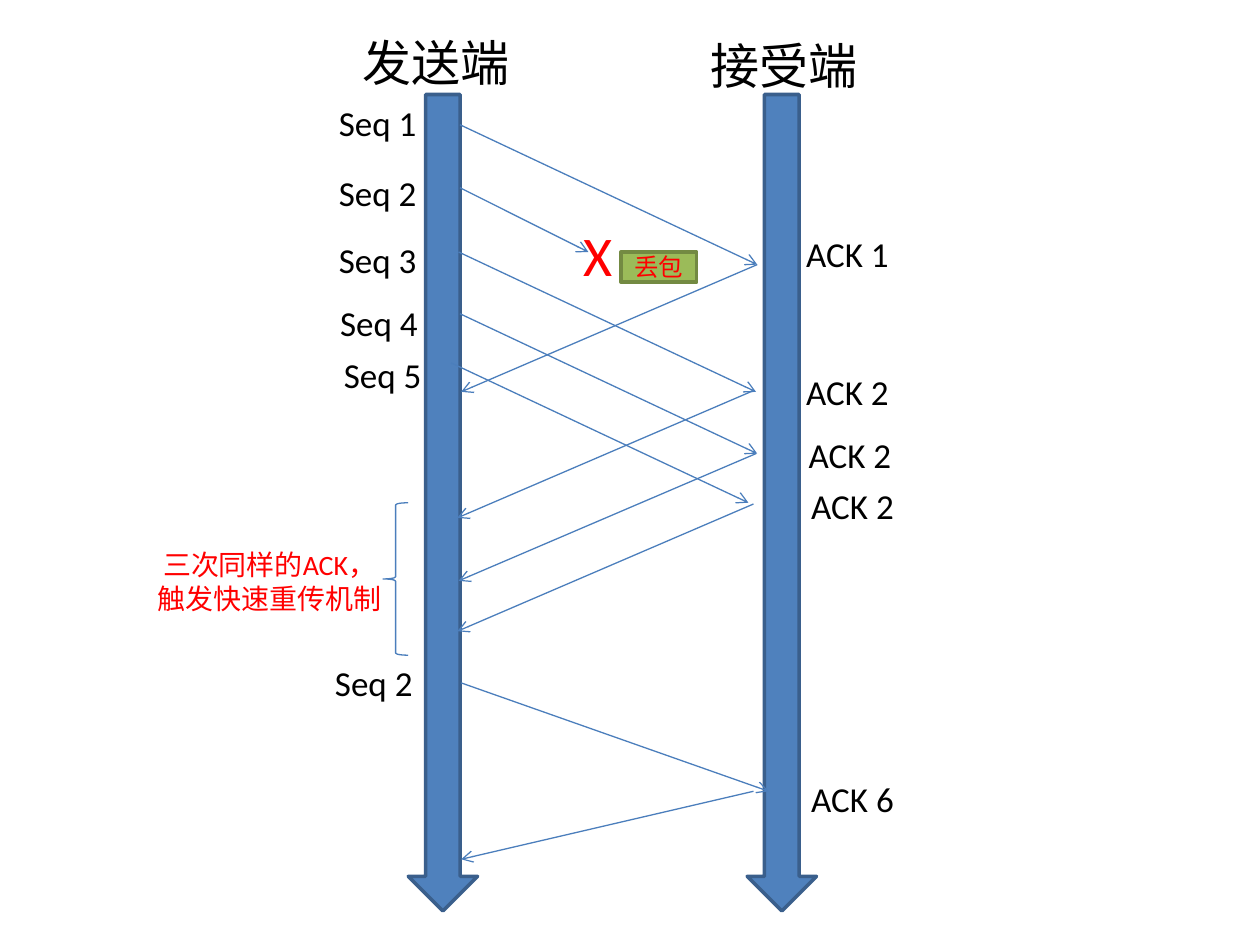
from lxml.etree import SubElement
from pptx import Presentation
from pptx.dml.color import RGBColor
from pptx.enum.shapes import MSO_CONNECTOR, MSO_SHAPE
from pptx.enum.text import MSO_ANCHOR, MSO_AUTO_SIZE, PP_ALIGN
from pptx.oxml.ns import qn
from pptx.util import Emu, Pt

PX = 9144  # 100 px to the inch
COLORS = {
    "timeline": "4F81BD", "timeline_edge": "3A5F8C", "message": "4B7EBC",
    "loss": "9BBB59", "loss_edge": "738A42", "text": "000000", "alert": "FF0000",
}

TIMELINE_TOP, TIMELINE_WIDTH, TIMELINE_HEIGHT = 75, 55, 648
TIMELINE_LEFTS = [324, 593]

# text, left, top
ENDPOINTS = [("发送端", 278, 21), ("接受端", 554, 23)]
SEQUENCES = [
    ("Seq 1", 259, 76), ("Seq 2", 259, 131), ("Seq 3", 259, 184),
    ("Seq 4", 260, 234), ("Seq 5", 263, 276), ("Seq 2", 256, 520),
]
ACKS = [
    ("ACK 1", 630, 180), ("ACK 2", 630, 289), ("ACK 2", 632, 339),
    ("ACK 2", 634, 380), ("ACK 6", 634, 612),
]
LOST_MARK = [("X", 453, 170)]
RETRANSMIT_NOTE = [("三次同样的ACK，\n触发快速重传机制", 109, 430)]

# labels, width, height, size, colour, alignment
LABEL_GROUPS = [
    (ENDPOINTS, 143, 57, 28, "text", PP_ALIGN.LEFT),
    (SEQUENCES, 82, 44, 20, "text", PP_ALIGN.LEFT),
    (ACKS, 90, 77, 20, "text", PP_ALIGN.LEFT),
    (LOST_MARK, 49, 64, 32, "alert", PP_ALIGN.LEFT),
    (RETRANSMIT_NOTE, 210, 66, 16, "alert", PP_ALIGN.CENTER),
]

# x and y of the start, x and y of the arrowhead
SENT = [
    (365, 99, 601, 210), (365, 149, 467, 200), (364, 200, 600, 311),
    (365, 249, 601, 360), (358, 288, 594, 399), (366, 542, 610, 628),
]
ACKNOWLEDGED = [
    (601, 210, 366, 311), (598, 310, 363, 411), (600, 360, 364, 461),
    (598, 400, 363, 501), (598, 628, 366, 682),
]

BRACE = (304, 399, 20, 121)
LOSS_TAG = ("丢包", (493, 200, 60, 24))


def px(*lengths):
    return [Emu(length * PX) for length in lengths]


def rgb(name):
    return RGBColor.from_string(COLORS[name])


def write(frame, text, size, color, align):
    frame.text = text
    for paragraph in frame.paragraphs:
        paragraph.alignment = align
        for key, value in {"name": "Calibri", "size": Pt(size)}.items():
            setattr(paragraph.font, key, value)
        paragraph.font.color.rgb = rgb(color)


def add_figure(slide, preset, box, edge, weight, fill=None):
    figure = slide.shapes.add_shape(preset, *px(*box))
    figure.shadow.inherit = False
    if fill:
        figure.fill.solid()
        figure.fill.fore_color.rgb = rgb(fill)
    else:
        figure.fill.background()
    figure.line.color.rgb = rgb(edge)
    figure.line.width = Pt(weight)
    return figure


def add_message(slide, ends):
    message = slide.shapes.add_connector(MSO_CONNECTOR.STRAIGHT, *px(*ends))
    message.line.color.rgb = rgb("message")
    message.line.width = Pt(0.75)
    SubElement(message.line._get_or_add_ln(), qn("a:tailEnd"), type="arrow")
    SubElement(message._element.spPr, qn("a:effectLst"))


def add_label(slide, text, box, size, color, align):
    frame = slide.shapes.add_textbox(*px(*box)).text_frame
    write(frame, text, size, color, align)
    for key, value in {"word_wrap": True, "auto_size": MSO_AUTO_SIZE.SHAPE_TO_FIT_TEXT}.items():
        setattr(frame, key, value)


def main():
    prs = Presentation()
    prs.slide_width, prs.slide_height = px(1000, 750)
    slide = prs.slides.add_slide(prs.slide_layouts[6])

    for left in TIMELINE_LEFTS:
        box = (left, TIMELINE_TOP, TIMELINE_WIDTH, TIMELINE_HEIGHT)
        add_figure(slide, MSO_SHAPE.DOWN_ARROW, box, "timeline_edge", 2, "timeline")
    for ends in SENT + ACKNOWLEDGED:
        add_message(slide, ends)
    add_figure(slide, MSO_SHAPE.LEFT_BRACE, BRACE, "message", 0.75)
    for labels, width, height, size, color, align in LABEL_GROUPS:
        for text, left, top in labels:
            add_label(slide, text, (left, top, width, height), size, color, align)

    loss_text, loss_box = LOSS_TAG
    loss = add_figure(slide, MSO_SHAPE.RECTANGLE, loss_box, "loss_edge", 2, "loss")
    write(loss.text_frame, loss_text, 14, "alert", PP_ALIGN.CENTER)
    loss.text_frame.vertical_anchor = MSO_ANCHOR.MIDDLE

    prs.save("out.pptx")


if __name__ == "__main__":
    main()
